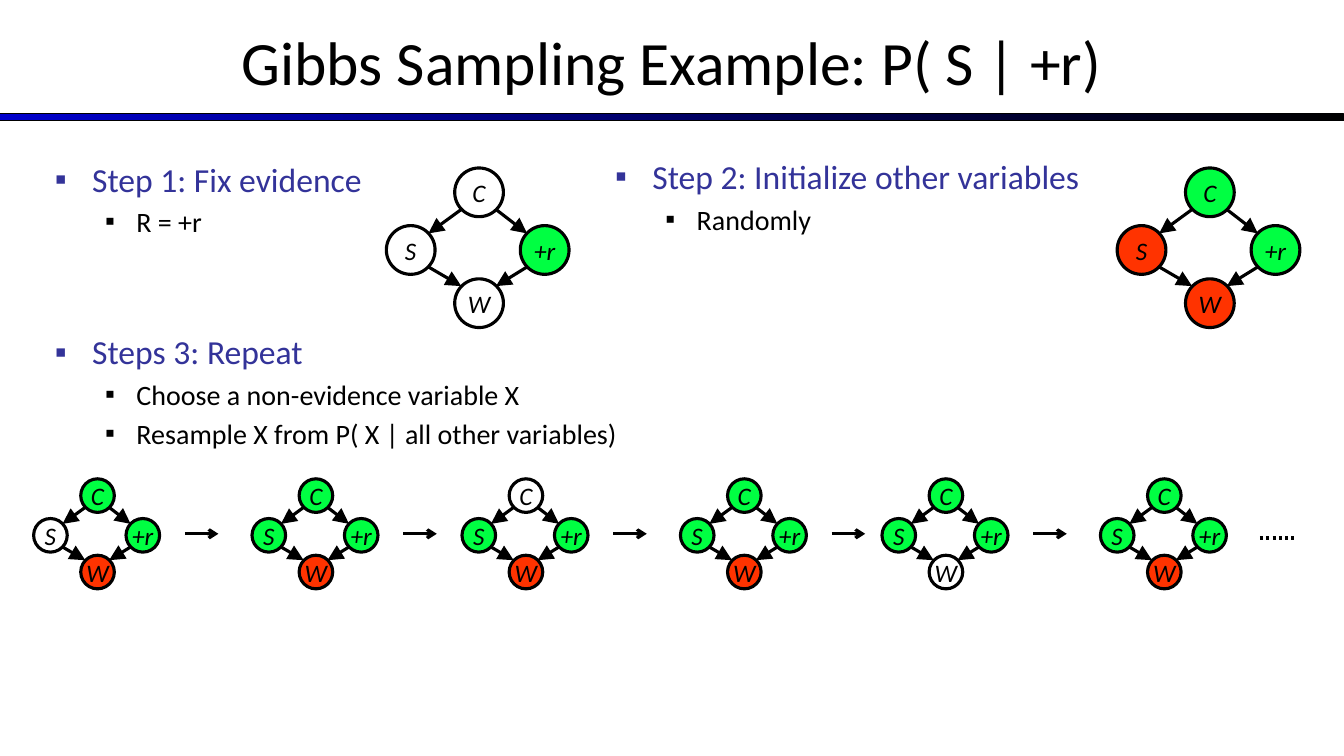
from lxml.etree import SubElement
from pptx import Presentation
from pptx.dml.color import RGBColor
from pptx.enum.dml import MSO_LINE
from pptx.enum.shapes import MSO_CONNECTOR, MSO_SHAPE
from pptx.enum.text import MSO_ANCHOR as Anchor, PP_ALIGN as Align
from pptx.oxml.ns import qn
from pptx.util import Inches, Pt

BLACK = RGBColor(0, 0, 0)
WHITE = RGBColor(255, 255, 255)
BLUE = RGBColor(0, 0, 204)
INDIGO = RGBColor(51, 51, 153)
GREEN = RGBColor(0, 255, 66)
RED = RGBColor(255, 51, 0)
FONT = "Calibri"
COLUMN = Inches(13.333) / 160
NODES = {"S": (0, 0.52), "+r": (1, 0.52), "W": (0.51, 1), "C": (0.51, 0)}
EDGES = [
    ((0.6, 0.26), (0.77, 0.41)),
    ((0.41, 0.26), (0.23, 0.41)),
    ((0.23, 0.62), (0.41, 0.74)),
    ((0.77, 0.62), (0.6, 0.74)),
]
CHAIN = [
    (4, {"S": None, "W": RED}),
    (30, {"W": RED}),
    (55, {"C": None, "W": RED}),
    (81, {"W": RED}),
    (105, {"W": None}),
    (131, {"W": RED}),
]


def grid(*lengths):
    """Turn grid columns into slide lengths."""
    return [round(length * COLUMN) for length in lengths]


def write(para, text, size=18, color=BLACK, italic=False, align=Align.LEFT):
    """Put formatted text in a paragraph."""
    para.alignment = align
    span = para.add_run()
    span.text = text
    span.font.name = FONT
    span.font.size = Pt(size)
    span.font.color.rgb = color
    span.font.italic = italic


def add_bullet(para, color, left, hang):
    """Give a paragraph a square bullet and a hanging indent."""
    props = para._p.get_or_add_pPr()
    props.set("marL", str(Inches(left)))
    props.set("indent", str(-Inches(hang)))
    SubElement(SubElement(props, qn("a:buClr")), qn("a:srgbClr"), val=str(color))
    SubElement(props, qn("a:buFont"), typeface="Arial")
    SubElement(props, qn("a:buChar"), char="▪")


def add_line(page, start, end, head=None, size="med", dash=None):
    """Draw a black line between two grid points."""
    line = page.shapes.add_connector(MSO_CONNECTOR.STRAIGHT, *grid(*start, *end))
    line.line.color.rgb = BLACK
    line.line.width = Pt(2.25)
    if dash:
        line.line.dash_style = dash
    if head:
        SubElement(line.line._get_or_add_ln(), qn("a:tailEnd"), type=head, w=size, len=size)
    SubElement(line._element.spPr, qn("a:effectLst"))


def add_title(page, left, top, width, height):
    """Place the heading with its gradient rule beneath."""
    rule = page.shapes.add_shape(
        MSO_SHAPE.RECTANGLE, *grid(left, top + 0.94 * height, width, 0.06 * height))
    rule.shadow.inherit = False
    rule.line.color.rgb = BLACK
    rule.line.width = Pt(0.75)
    rule.fill.gradient()
    rule.fill.gradient_angle = 0
    for stop, color in zip(rule.fill.gradient_stops, (BLUE, BLACK)):
        stop.color.rgb = color
    frame = page.shapes.add_textbox(*grid(left, top, width, height)).text_frame
    frame.word_wrap = True
    frame.vertical_anchor = Anchor.MIDDLE
    write(frame.paragraphs[0], "Gibbs Sampling Example: P( S | +r)", size=44, align=Align.CENTER)


def add_step(page, left, top, width, height, heading, points):
    """Place a step heading and its bulleted points."""
    frame = page.shapes.add_textbox(*grid(left, top, width, height)).text_frame
    frame.word_wrap = True
    para = frame.paragraphs[0]
    add_bullet(para, INDIGO, 0.37, 0.37)
    write(para, heading, size=24, color=INDIGO)
    for point in points:
        para = frame.add_paragraph()
        para.space_before = Pt(4)
        add_bullet(para, BLACK, 0.81, 0.31)
        write(para, point, size=20)


def add_network(page, left, top, width, height, node, colors):
    """Draw the four-variable network; nodes are green unless coloured."""
    for name, (across, down) in NODES.items():
        oval = page.shapes.add_shape(MSO_SHAPE.OVAL, *grid(
            left + across * (width - node), top + down * (height - node), node, node))
        oval.shadow.inherit = False
        color = colors.get(name, GREEN)
        if color is None:
            oval.fill.background()
        else:
            oval.fill.solid()
            oval.fill.fore_color.rgb = color
        oval.line.color.rgb = BLACK
        oval.line.width = Pt(2.25)
        frame = oval.text_frame
        frame.word_wrap = False
        frame.vertical_anchor = Anchor.MIDDLE
        write(frame.paragraphs[0], name, italic=True, align=Align.CENTER)
    for ends in EDGES:
        start, end = [(left + x * width, top + y * height) for x, y in ends]
        add_line(page, start, end, head="triangle", size="lg")


def add_chain(page, top, height):
    """Draw the row of resampled networks joined by arrows."""
    middle = top + height / 2
    for left, colors in CHAIN:
        add_network(page, left, top, 15, height, 4, colors)
    for left, _ in CHAIN[:-1]:
        add_line(page, (left + 18, middle), (left + 22, middle), head="arrow")
    add_line(page, (150, middle + 0.5), (154, middle + 0.5), dash=MSO_LINE.ROUND_DOT)


def main():
    """Build and save the slide."""
    deck = Presentation()
    deck.slide_width, deck.slide_height = grid(160, 90)
    page = deck.slides.add_slide(deck.slide_layouts[6])
    add_title(page, 0, 0, 160, 14.4)
    add_step(page, 5.35, 18.3, 40, 12, "Step 1: Fix evidence", ["R = +r"])
    add_step(page, 72.05, 18, 60, 12, "Step 2: Initialize other variables", ["Randomly"])
    add_step(page, 5.35, 38.85, 86, 16, "Steps 3: Repeat", [
        "Choose a non-evidence variable X",
        "Resample X from P( X | all other variables)",
    ])
    add_network(page, 46, 20, 21.75, 19, 5.8, {"S": WHITE, "W": WHITE, "C": WHITE})
    add_network(page, 133, 20, 21.75, 19, 5.8, {"S": RED, "W": RED})
    add_chain(page, 57, 13.1)
    deck.save("out.pptx")


if __name__ == "__main__":
    main()
